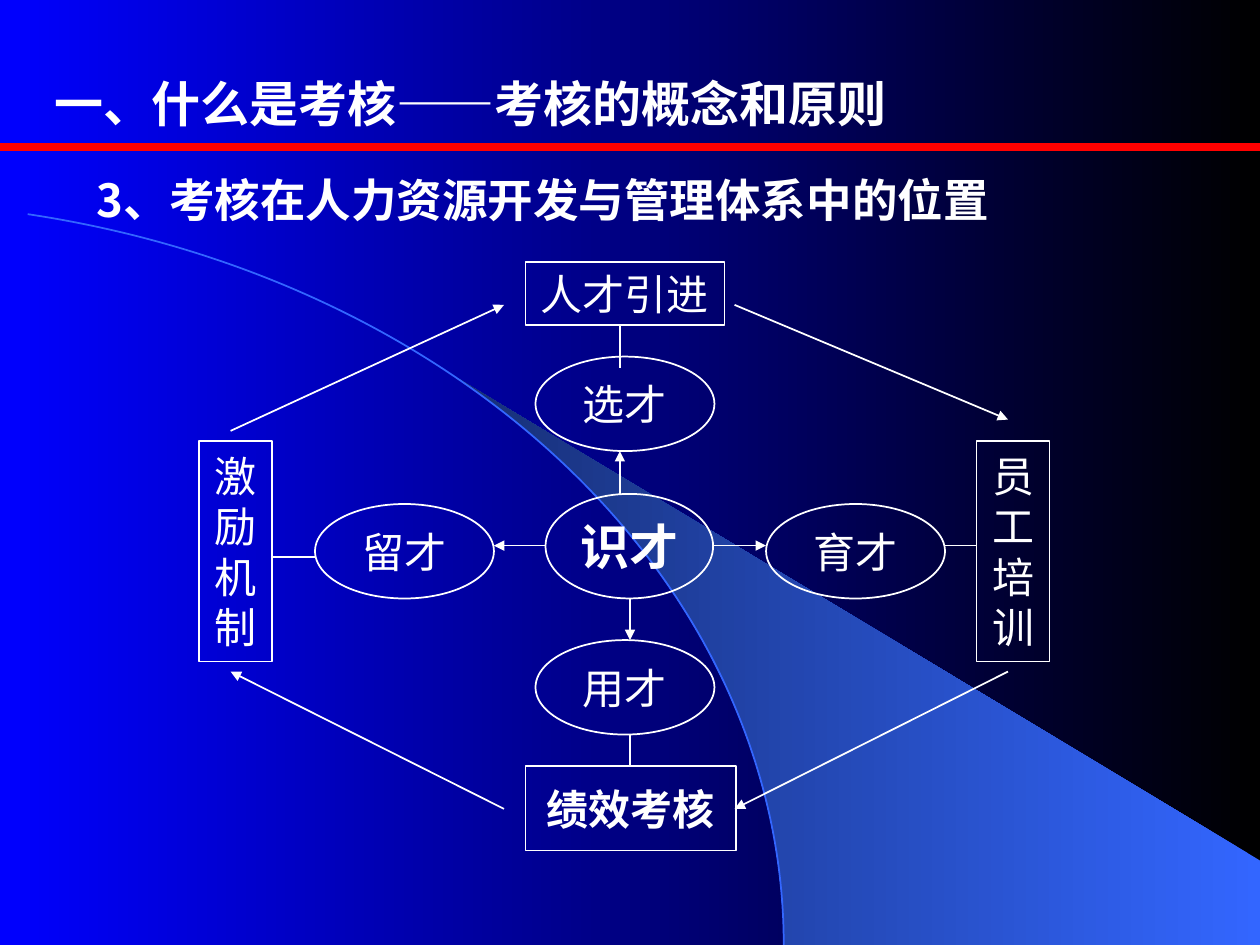
import math

from lxml import etree
from pptx import Presentation
from pptx.dml.color import RGBColor
from pptx.enum.shapes import MSO_CONNECTOR, MSO_SHAPE
from pptx.enum.text import MSO_ANCHOR, PP_ALIGN
from pptx.oxml.ns import qn
from pptx.util import Inches, Pt

OVAL, RECT, ARC = MSO_SHAPE.OVAL, MSO_SHAPE.RECTANGLE, MSO_SHAPE.ARC
STRAIGHT = MSO_CONNECTOR.STRAIGHT
TOP, MIDDLE = MSO_ANCHOR.TOP, MSO_ANCHOR.MIDDLE
LEFT, CENTER = PP_ALIGN.LEFT, PP_ALIGN.CENTER
WHITE, RED, BLUE = "FFFFFF", "FF0000", "3366FF"
SANS, SERIF = "Noto Sans CJK SC", "Times New Roman"


def set_gradient(fill, *colors):
    """Run the gradient from the right edge to the left."""
    fill.gradient()
    fill.gradient_angle = 180
    for stop, position, color in zip(fill.gradient_stops, (0, 1), colors):
        stop.position = position
        stop.color.rgb = RGBColor.from_string(color)


def set_text(tf, text, size, font, bold, align, anchor):
    tf.text = text
    tf.vertical_anchor = anchor
    for p in tf.paragraphs:
        p.alignment = align
        for r in p.runs:
            r.font.size = Pt(size)
            r.font.bold = bold
            r.font.name = font
            r.font.color.rgb = RGBColor.from_string(WHITE)
            ea = etree.SubElement(r.font._element, qn("a:ea"))
            ea.set("typeface", SANS)


prs = Presentation()
prs.slide_width, prs.slide_height = Inches(10), Inches(7.5)
s = prs.slides.add_slide(prs.slide_layouts[5])
set_gradient(s.background.fill, "000000", "0000FF")

# Light beam, whose left edge follows the ellipse of the arc
cx, cy, rx, ry = -1.13, 7.5, 7.35, 5.9
beam = [(10, 7.5), (10, 6.83)]
for degrees in range(50, -1, -2):
    t = math.radians(degrees)
    beam.append((cx + rx * math.cos(t), cy - ry * math.sin(t)))
points = [(Inches(x), Inches(y)) for x, y in beam]
builder = s.shapes.build_freeform(*points[0], scale=1.0)
builder.add_line_segments(points[1:], close=True)
sp = builder.convert_to_shape()
sp.shadow.inherit = False
set_gradient(sp.fill, BLUE, "172F75")
sp.line.fill.background()

sp = s.shapes.add_shape(ARC, Inches(cx - rx), Inches(cy - ry), Inches(2 * rx), Inches(2 * ry))
sp.adjustments[0] = 283.1 * 0.6  # degrees in 60000ths, scaled by 100000
sp.adjustments[1] = 0
sp.shadow.inherit = False
sp.fill.background()
sp.line.color.rgb = RGBColor.from_string(BLUE)
sp.line.width = Pt(1)

# Headings
title = s.shapes.title
title.left, title.top, title.width, title.height = Inches(0.33), Inches(0.42), Inches(9.42), Inches(0.69)
set_text(title.text_frame, "一、什么是考核——考核的概念和原则", 28, SANS, True, LEFT, TOP)
title.text_frame.paragraphs[0].line_spacing = 1.25

subtitle = s.shapes.add_textbox(Inches(0.67), Inches(1.33), Inches(8.42), Inches(0.5))
subtitle.text_frame.word_wrap = True
set_text(subtitle.text_frame, "3、考核在人力资源开发与管理体系中的位置", 26, SANS, True, LEFT, MIDDLE)

# Diagram nodes: text, shape, left, top, width, height, size, bold
nodes = [
    ("识才", OVAL, 4.33, 3.92, 1.33, 0.83, 28, True),
    ("选才", OVAL, 4.25, 2.83, 1.42, 0.75, 24, False),
    ("用才", OVAL, 4.25, 5.08, 1.42, 0.75, 24, False),
    ("育才", OVAL, 6.08, 4, 1.42, 0.75, 24, False),
    ("留才", OVAL, 2.5, 4, 1.42, 0.75, 24, False),
    ("人才引进", RECT, 4.17, 2.08, 1.58, 0.5, 24, False),
    ("绩效考核", RECT, 4.17, 6.08, 1.67, 0.67, 24, True),
    ("员\n工\n培\n训", RECT, 7.75, 3.5, 0.58, 1.75, 24, False),
    ("激\n励\n机\n制", RECT, 1.58, 3.5, 0.58, 1.75, 24, False),
]
for text, kind, x, y, w, h, size, bold in nodes:
    sp = s.shapes.add_shape(kind, Inches(x), Inches(y), Inches(w), Inches(h))
    sp.shadow.inherit = False
    sp.fill.background()
    sp.line.color.rgb = RGBColor.from_string(WHITE)
    sp.line.width = Pt(1)
    sp.text_frame.word_wrap = False
    set_text(sp.text_frame, text, size, SERIF, bold, CENTER, MIDDLE)

# Lines: start, end, colour, width, arrowhead at the end
lines = [
    (0, 1.17, 10, 1.17, RED, 4.5, False),
    (4.92, 2.58, 4.92, 2.92, WHITE, 1, False),
    (2.17, 4.42, 2.5, 4.42, WHITE, 1, False),
    (7.5, 4.33, 7.75, 4.33, WHITE, 1, False),
    (5, 5.83, 5, 6.08, WHITE, 1, False),
    (4.92, 3.92, 4.92, 3.58, WHITE, 1, True),
    (5, 4.75, 5, 5.08, WHITE, 1, True),
    (5.67, 4.33, 6.08, 4.33, WHITE, 1, True),
    (4.33, 4.33, 3.92, 4.33, WHITE, 1, True),
    (5.83, 2.42, 8, 3.33, WHITE, 1, True),
    (8, 5.33, 5.83, 6.42, WHITE, 1, True),
    (4, 6.42, 1.83, 5.33, WHITE, 1, True),
    (1.83, 3.42, 4, 2.42, WHITE, 1, True),
]
for x1, y1, x2, y2, color, width, arrow in lines:
    line = s.shapes.add_connector(STRAIGHT, Inches(x1), Inches(y1), Inches(x2), Inches(y2))
    line.line.color.rgb = RGBColor.from_string(color)
    line.line.width = Pt(width)
    if arrow:
        etree.SubElement(line.line._get_or_add_ln(), qn("a:tailEnd")).set("type", "triangle")
    etree.SubElement(line._element.spPr, qn("a:effectLst"))

prs.save("out.pptx")
